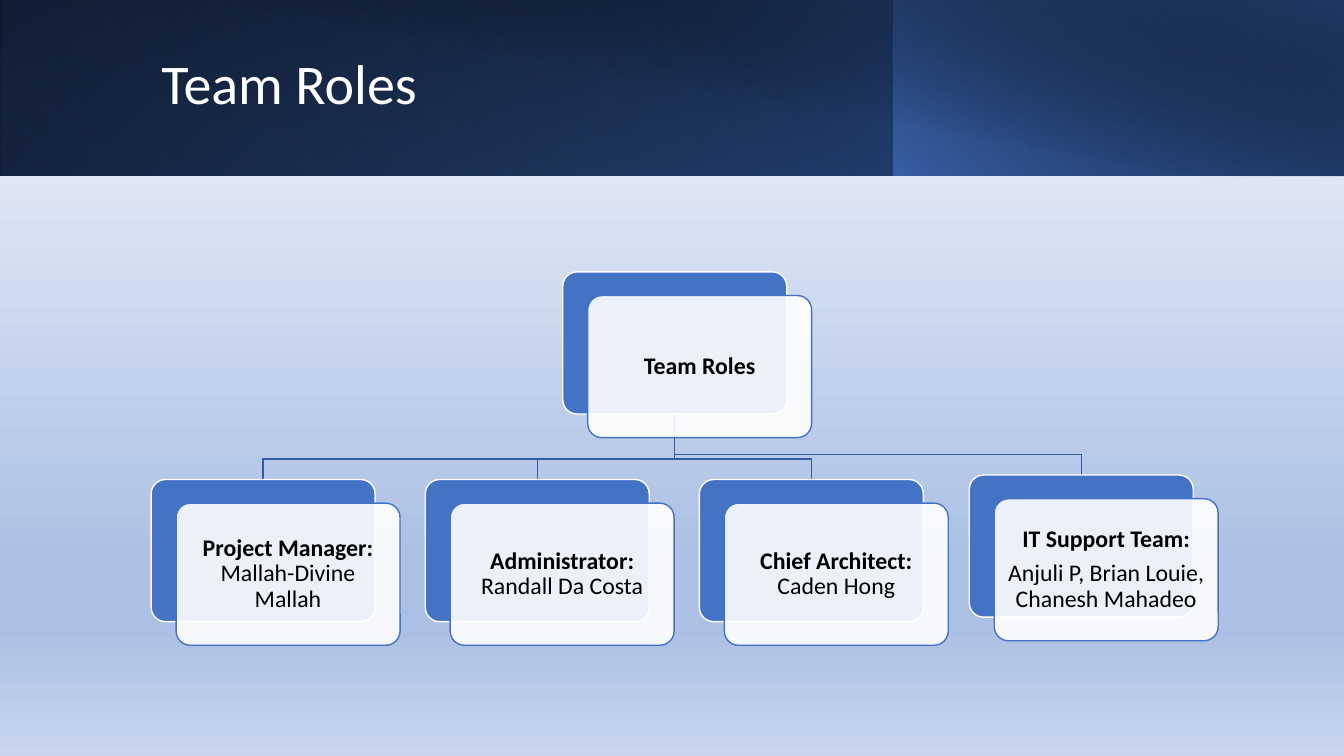
from dataclasses import dataclass

from lxml.etree import SubElement
from pptx import Presentation
from pptx.dml.color import RGBColor as RGB
from pptx.enum.shapes import MSO_SHAPE as SHAPE
from pptx.enum.text import MSO_ANCHOR as ANCHOR, MSO_AUTO_SIZE as FIT, PP_ALIGN as ALIGN
from pptx.oxml.ns import qn
from pptx.util import Pt


@dataclass(frozen=True)
class Theme:
    font: str = "Calibri"
    title_size: int = 40
    card_size: int = 17
    white: str = "FFFFFF"
    black: str = "000000"
    blue: str = "4472C4"
    navy: str = "203864"
    deep: str = "2F5597"
    link: str = "365B9D"
    pale: str = "F6F8FC"
    mist: str = "ABC0E4"
    haze: str = "C7D5ED"


CARD_W, CARD_H = 160, 101.5
SHIFT_X, SHIFT_Y = 17.8, 16.9
KNEE = 14.6


class Deck:
    def __init__(self, slide, theme):
        self.s = slide
        self.t = theme

    def gradient(self, fill, element, stops, angle):
        fill.gradient()
        grad = element.find(".//" + qn("a:gradFill"))
        stop_list = grad.find(qn("a:gsLst"))
        for stop in list(stop_list):
            stop_list.remove(stop)
        for pos, color, alpha in stops:
            stop = SubElement(stop_list, qn("a:gs"), pos=str(pos * 1000))
            clr = SubElement(stop, qn("a:srgbClr"), val=color)
            if alpha < 100:
                SubElement(clr, qn("a:alpha"), val=str(alpha * 1000))
        grad.find(qn("a:lin")).set("ang", str(angle * 60000))

    def background(self, stops, angle):
        self.gradient(self.s.background.fill, self.s.element, stops, angle)

    def band(self, left, width, height, stops, angle, flip=True, rotation=0):
        sp = self.s.shapes.add_shape(SHAPE.RECTANGLE, Pt(left), 0, Pt(width), Pt(height))
        sp.shadow.inherit = False
        sp.line.fill.background()
        sp.rotation = rotation
        if flip:
            sp.element.spPr.find(qn("a:xfrm")).set("flipH", "1")
        self.gradient(sp.fill, sp.element, stops, angle)

    def style(self, p, size, color, align):
        p.font.name = self.t.font
        p.font.size = Pt(size)
        p.font.color.rgb = RGB.from_string(color)
        p.alignment = align
        p.line_spacing = 0.9

    def title(self, text, left, top, width, height):
        sp = self.s.shapes.title
        sp.left, sp.top, sp.width, sp.height = Pt(left), Pt(top), Pt(width), Pt(height)
        tf = sp.text_frame
        tf.text = text
        tf.auto_size = FIT.NONE
        tf.vertical_anchor = ANCHOR.MIDDLE
        self.style(tf.paragraphs[0], self.t.title_size, self.t.white, ALIGN.LEFT)
        self.s.shapes.element.append(sp.element)

    def link(self, parent, child):
        x0, y0 = parent[0] + CARD_W / 2, parent[1] + CARD_H
        x1, y1 = child[0] + CARD_W / 2, child[1]
        route = [(x0, y1 - KNEE), (x1, y1 - KNEE), (x1, y1)]
        builder = self.s.shapes.build_freeform(Pt(x0), Pt(y0))
        builder.add_line_segments([(Pt(x), Pt(y)) for x, y in route], close=False)
        sp = builder.convert_to_shape()
        sp.shadow.inherit = False
        sp.fill.background()
        sp.line.color.rgb = RGB.from_string(self.t.link)
        sp.line.width = Pt(1)

    def panel(self, left, top, fill, line):
        sp = self.s.shapes.add_shape(
            SHAPE.ROUNDED_RECTANGLE, Pt(left), Pt(top), Pt(CARD_W), Pt(CARD_H))
        sp.adjustments[0] = 0.1
        sp.shadow.inherit = False
        sp.fill.solid()
        sp.fill.fore_color.rgb = RGB.from_string(fill)
        sp.line.color.rgb = RGB.from_string(line)
        sp.line.width = Pt(1)
        return sp

    def card(self, spot, paragraphs):
        left, top = spot
        self.panel(left, top, self.t.blue, self.t.white)
        sp = self.panel(left + SHIFT_X, top + SHIFT_Y, self.t.white, self.t.blue)
        clr = sp.element.spPr.find(qn("a:solidFill")).find(qn("a:srgbClr"))
        SubElement(clr, qn("a:alpha"), val="90000")
        tf = sp.text_frame
        tf.word_wrap = True
        tf.vertical_anchor = ANCHOR.MIDDLE
        tf.margin_left = tf.margin_right = tf.margin_top = tf.margin_bottom = Pt(5)
        for i, runs in enumerate(paragraphs):
            p = tf.add_paragraph() if i else tf.paragraphs[0]
            self.style(p, self.t.card_size, self.t.black, ALIGN.CENTER)
            p.space_before = Pt(6 if i else 0)
            for text, bold in runs:
                r = p.add_run()
                r.text = text
                r.font.bold = bold


def main():
    prs = Presentation()
    prs.slide_width, prs.slide_height = Pt(960), Pt(540)
    t = Theme()
    deck = Deck(prs.slides.add_slide(prs.slide_layouts[5]), t)

    deck.background([(0, t.pale, 100), (74, t.mist, 100), (83, t.mist, 100),
                     (100, t.haze, 100)], 90)
    deck.band(0, 960, 125.5, [(0, t.black, 100), (100, t.deep, 100)], 140)
    deck.band(0, 639, 125.5, [(20, t.blue, 0), (100, t.navy, 55)], 230, rotation=180)
    deck.band(638.6, 321.4, 125.5, [(0, t.blue, 66), (100, t.black, 30)], 220)
    deck.band(36, 924, 126, [(50, t.black, 0), (99, t.navy, 52)], 280, flip=False)

    root = (402, 194.2)
    spots = [(108 + 195.8 * i, 342.5) for i in range(3)] + [(692.4, 339.3)]
    roles = [
        [[("Project Manager: ", True), ("Mallah-Divine Mallah", False)]],
        [[("Administrator:", True), (" Randall Da Costa", False)]],
        [[("Chief Architect: ", True), ("Caden Hong", False)]],
        [[("IT Support Team:", True)], [("Anjuli P, Brian Louie, Chanesh Mahadeo", False)]],
    ]
    for spot in reversed(spots):
        deck.link(root, spot)
    deck.card(root, [[("Team Roles", True)]])
    for spot, role in zip(spots, roles):
        deck.card(spot, role)
    deck.title("Team Roles", 108, 27.4, 790.6, 69)

    prs.save("out.pptx")


if __name__ == "__main__":
    main()
